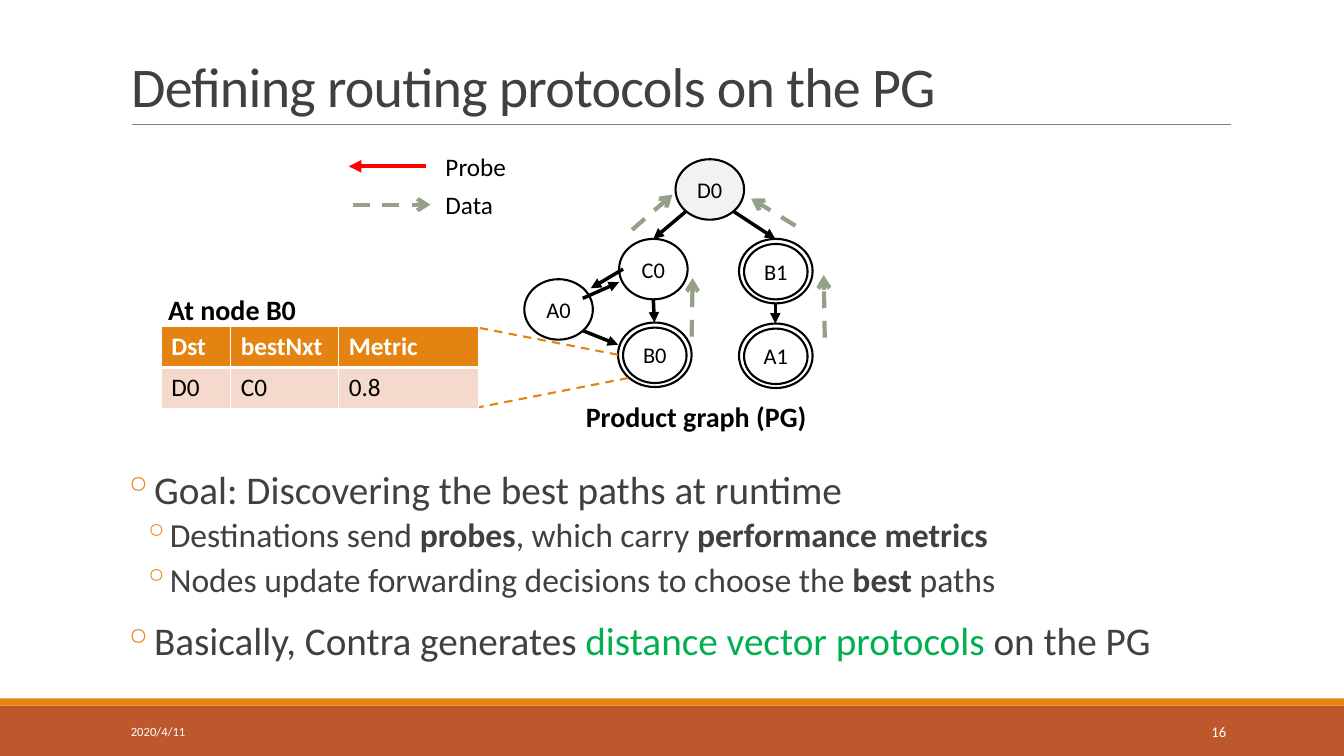
import pptx
import pptx.util
import pptx.dml.color
import pptx.enum.dml
import pptx.enum.shapes
import pptx.enum.text
import pptx.oxml
import pptx.oxml.ns
from lxml import etree

PX = 9144  # 100 px to the inch
FONT = "Calibri"
ORANGE, RUST, GREY, SAGE = "E48312", "BD582C", "404040", "94A088"
BLACK, WHITE = "000000", "FFFFFF"
Pt = pptx.util.Pt
qn = pptx.oxml.ns.qn
SHAPE = pptx.enum.shapes.MSO_SHAPE
ALIGN = pptx.enum.text.PP_ALIGN
ANCHOR = pptx.enum.text.MSO_ANCHOR


def rgb(value):
    return pptx.dml.color.RGBColor.from_string(value)


def add_run(p, text, size=18, color=BLACK, bold=False, align=None):
    if align is not None:
        p.alignment = align
    r = p.add_run()
    r.text = text
    r.font.name = FONT
    r.font.size = Pt(size)
    r.font.bold = bold
    r.font.color.rgb = rgb(color)
    return r


prs = pptx.Presentation()
prs.slide_width, prs.slide_height = 1333 * PX, 750 * PX
s = prs.slides.add_slide(prs.slide_layouts[5])

# Footer bars
for top, height, color in [(700, 50, RUST), (693, 7, ORANGE)]:
    sp = s.shapes.add_shape(SHAPE.RECTANGLE, 0, top * PX, 1333 * PX, height * PX)
    sp.shadow.inherit = False
    sp.fill.solid()
    sp.fill.fore_color.rgb = rgb(color)
    sp.line.fill.background()

# Title
title = s.shapes.title
title.left, title.top, title.width, title.height = 120 * PX, 31 * PX, 1100 * PX, 92 * PX
tf = title.text_frame
tf.word_wrap = True
tf.auto_size = pptx.enum.text.MSO_AUTO_SIZE.NONE
tf.vertical_anchor = ANCHOR.BOTTOM
p = tf.paragraphs[0]
p.line_spacing = 0.85
r = add_run(p, "Defining routing protocols on the PG", size=40, color=GREY, align=ALIGN.LEFT)
r.font.element.set("spc", "-50") if hasattr(r.font, "element") else r._r.get_or_add_rPr().set("spc", "-50")

# Bulleted body: level, then runs of text and format
body = [
    (0, [("Goal: Discovering the best paths at runtime", {})]),
    (1, [("Destinations send ", {}), ("probes", {"bold": True}), (", which carry ", {}),
         ("performance metrics", {"bold": True})]),
    (1, [("Nodes update forwarding decisions to choose the ", {}), ("best", {"bold": True}),
         (" paths", {})]),
    (0, [("Basically, Contra generates ", {}), ("distance vector protocols ", {"color": "00B050"}),
         ("on the PG", {})]),
]
tf = s.shapes.add_textbox(120 * PX, 462 * PX, 1100 * PX, 213 * PX).text_frame
tf.word_wrap = True
tf.margin_left = tf.margin_right = 0
for i, (level, runs) in enumerate(body):
    p = tf.add_paragraph() if i else tf.paragraphs[0]
    pPr = p._p.get_or_add_pPr()
    pPr.set("marL", str((22 + 20 * level) * PX))
    pPr.set("indent", str(-20 * PX))
    clr = etree.SubElement(pPr, qn("a:buClr"))
    etree.SubElement(clr, qn("a:srgbClr")).set("val", ORANGE)
    etree.SubElement(pPr, qn("a:buChar")).set("char", "◦")
    p.level = level
    p.line_spacing = 0.9
    p.space_before = Pt((2 if level else 12) if i else 0)
    p.space_after = Pt(4 if level else 2)
    for text, fmt in runs:
        add_run(p, text, **{"size": 24 if level else 28, "color": GREY, **fmt})

# Labels and footer text
small = {"size": 9, "color": WHITE}
number = {"size": 10.5, "color": WHITE, "align": ALIGN.RIGHT}
heading = {"size": 20, "bold": True}
for text, left, top, width, height, wrap, anchor, fmt in [
    ("2020/4/11", 120, 706, 270, 40, True, ANCHOR.MIDDLE, small),
    ("16", 1083, 706, 143, 40, True, ANCHOR.MIDDLE, number),
    ("Product graph (PG)", 556, 391, 269, 44, True, ANCHOR.TOP, {**heading, "align": ALIGN.CENTER}),
    ("At node B0", 157, 285, 148, 44, False, ANCHOR.TOP, heading),
    ("Probe", 432, 145, 81, 40, False, ANCHOR.TOP, {}),
    ("Data", 432, 183, 68, 40, False, ANCHOR.TOP, {}),
]:
    tf = s.shapes.add_textbox(left * PX, top * PX, width * PX, height * PX).text_frame
    tf.word_wrap = wrap
    tf.vertical_anchor = anchor
    add_run(tf.paragraphs[0], text, **fmt)

# Graph nodes; accepting nodes have a second ring inside
rings = []
for name, left, top, fill in [("D0", 670, 158, "F2F2F2"), ("C0", 614, 237, None), ("A0", 520, 277, None)]:
    rings.append((name, left, top, 68, 60, fill))
for name, left, top in [("B0", 613, 320), ("A1", 733, 321), ("B1", 733, 237)]:
    rings.append(("", left + 5, top + 5, 63, 55, None))
    rings.append((name, left, top, 73, 64, None))
for name, left, top, width, height, fill in rings:
    sp = s.shapes.add_shape(SHAPE.OVAL, left * PX, top * PX, width * PX, height * PX)
    sp.shadow.inherit = False
    sp.line.color.rgb = rgb(BLACK)
    sp.line.width = Pt(1.5)
    if fill:
        sp.fill.solid()
        sp.fill.fore_color.rgb = rgb(fill)
    else:
        sp.fill.background()
    if name:
        tf = sp.text_frame
        tf.word_wrap = False
        tf.margin_left = tf.margin_right = tf.margin_top = tf.margin_bottom = 0
        tf.vertical_anchor = ANCHOR.MIDDLE
        add_run(tf.paragraphs[0], name, size=16, align=ALIGN.CENTER)

# Lines by style: colour, width, dashed, arrowhead, ends
line_groups = [
    ("808080", 0.5, False, None, [(131, 123, 1221, 123)]),  # title rule
    (BLACK, 2.5, False, "triangle", [  # graph edges
        (728, 210, 769, 237), (769, 301, 769, 321), (648, 297, 649, 320), (680, 210, 648, 237),
        (578, 286 + 10, 614, 280), (578, 328, 613, 342), (618, 267, 578 + 8, 286)]),
    ("FF0000", 3, False, "triangle", [(423, 165, 346, 165)]),  # probe
    (SAGE, 3, True, "arrow", [  # data
        (350, 203, 427, 203), (686, 334, 687, 276), (627, 228, 667, 193),
        (789, 224, 745, 197), (818, 335, 817, 273)]),
    (ORANGE, 1.5, True, None, [(613, 352, 474, 325), (623, 375, 475, 404)]),  # table callout
]
for color, width, dashed, arrow, ends in line_groups:
    for x1, y1, x2, y2 in ends:
        c = s.shapes.add_connector(pptx.enum.shapes.MSO_CONNECTOR.STRAIGHT,
                                   x1 * PX, y1 * PX, x2 * PX, y2 * PX)
        c.line.color.rgb = rgb(color)
        c.line.width = Pt(width)
        if dashed:
            c.line.dash_style = pptx.enum.dml.MSO_LINE.DASH
        spPr = c.element.spPr
        if arrow:
            etree.SubElement(spPr.find(qn("a:ln")), qn("a:tailEnd")).set("type", arrow)
        etree.SubElement(spPr, qn("a:effectLst"))

# Forwarding table of node B0
rows = [("Dst", "bestNxt", "Metric"), ("D0", "C0", "0.8")]
table = s.shapes.add_table(2, 3, 160 * PX, 324 * PX, 315 * PX, 81 * PX).table
table.first_row = table.horz_banding = False
for col, width in zip(table.columns, (69, 107, 139)):
    col.width = width * PX
for i, row in enumerate(rows):
    header = i == 0
    for j, text in enumerate(row):
        cell = table.cell(i, j)
        tcPr = cell._tc.get_or_add_tcPr()
        for side in "LRTB":
            thick = (header and side == "B") or (not header and side == "T")
            ln = etree.SubElement(tcPr, qn("a:ln" + side))
            ln.set("w", str(Pt(3 if thick else 1)))
            fill = etree.SubElement(ln, qn("a:solidFill"))
            etree.SubElement(fill, qn("a:srgbClr")).set("val", WHITE)
        cell.fill.solid()
        cell.fill.fore_color.rgb = rgb(ORANGE if header else "F5D9CC")
        add_run(cell.text_frame.paragraphs[0], text, color=WHITE if header else BLACK, bold=header)

prs.save("out.pptx")
